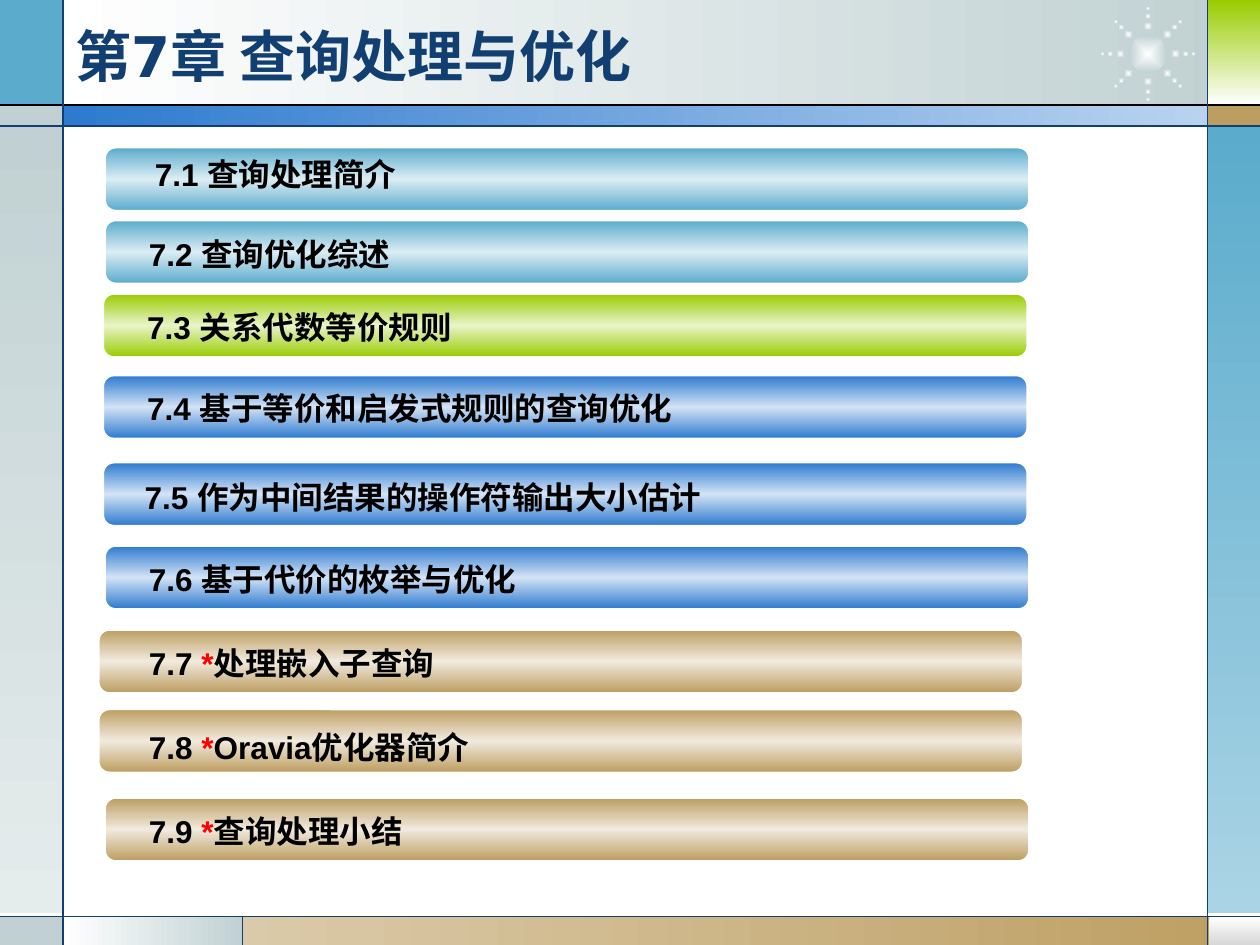
from math import cos, pi, sin

from lxml import etree
from pptx import Presentation
from pptx.dml.color import RGBColor
from pptx.enum.shapes import MSO_CONNECTOR, MSO_SHAPE
from pptx.enum.text import MSO_ANCHOR, MSO_AUTO_SIZE, PP_ALIGN
from pptx.oxml.ns import qn
from pptx.util import Pt

RECT, ROUND, OVAL = MSO_SHAPE.RECTANGLE, MSO_SHAPE.ROUNDED_RECTANGLE, MSO_SHAPE.OVAL
LINE = MSO_CONNECTOR.STRAIGHT
LEFT, MID, TOP = PP_ALIGN.LEFT, MSO_ANCHOR.MIDDLE, MSO_ANCHOR.TOP
NONE, GROW = MSO_AUTO_SIZE.NONE, MSO_AUTO_SIZE.SHAPE_TO_FIT_TEXT

TITLE = "第7章 查询处理与优化"

# text, colour, bar left, bar top, text left, text top
ROWS = [
    ("7.1 查询处理简介", "teal", 60, 84.4, 81.4, 85),
    ("7.2 查询优化综述", "teal", 60, 126, 78, 130.5),
    ("7.3 关系代数等价规则", "green", 59, 168, 77, 172.2),
    ("7.4 基于等价和启发式规则的查询优化", "blue", 59, 214.6, 77, 218.8),
    ("7.5 作为中间结果的操作符输出大小估计", "blue", 59, 264.4, 75.6, 269.4),
    ("7.6 基于代价的枚举与优化", "blue", 60, 312, 78, 316.2),
    ("7.7 *处理嵌入子查询", "tan", 56.4, 360, 78, 364.4),
    ("7.8 *Oravia优化器简介", "tan", 56.4, 405.4, 78, 412.6),
    ("7.9 *查询处理小结", "tan", 60, 456, 78, 460.2),
]

THEME = {
    "teal": "5AABCC", "green": "99CC00", "blue": "2D7ACF", "tan": "BD9E61",
    "gray": "C1D1D3", "white": "FFFFFF", "navy": "113F71", "black": "000000",
    "red": "FF0000", "mist": "E5ECEC", "sand": "DBCAA9", "silver": "D8D8D8",
    "sky": "AAD4E5", "pale": "B9D3EF",
    "head": {"size": Pt(32), "name": "DejaVu Sans", "bold": True},
    "body": {"size": Pt(18), "name": "Arial", "bold": True},
}
GLOW = {"teal": "DCEDF4", "green": "E9F4C9", "blue": "D3E3F5", "tan": "F1EADE"}

W, H = 720, 540
X1, X2, X3 = 36, 138.4, 690
Y1, Y2, Y3 = 60, 72, 523.6

# left, top, right, bottom, colours, angle
PANELS = [
    (X1, 0, 703.4, Y1, ("white", "gray"), 0),
    (0, 0, X1, Y1, ("teal",), 0),
    (0, Y1, X1, Y2, ("gray",), 0),
    (0, Y2, X1, 522, ("gray", "mist"), 90),
    (0, Y3, X1, H, ("gray",), 0),
    (X1, Y3, X2, H, ("white", "gray"), 0),
    (X2, Y3, W, H, ("sand", "tan"), 0),
    (691, Y3, W, H, ("white", "silver"), 90),
    (X3, Y2, W, 522, ("teal", "sky"), 90),
    (X3, Y1, W, Y2, ("tan",), 0),
    (X3, 0, W, Y1, ("green", "white"), 90),
    (X1, Y1, X3, Y2, ("blue", "pale"), 0),
]
RULES = [
    (0, Y1, W, Y1, "black"), (0, Y2, W, Y2, "navy"), (0, Y3, W, Y3, "navy"),
    (X1, 0, X1, H, "navy"), (X3, 0, X3, H, "navy"), (X2, Y3, X2, H, "navy"),
]
STAR = (656, 30.8, 21.6)
DOTS = [(15.8, 5), (21.6, 3.5), (26, 2.5)]
ARMS = 8


def tint(name):
    return RGBColor.from_string(THEME[name])


def style(item, form):
    for key, val in form.items():
        setattr(item, key, val)


def blend(shape, hues, angle):
    shape.fill.gradient()
    grad = shape.element.spPr.find(qn("a:gradFill"))
    for kid in list(grad):
        grad.remove(kid)
    stops = etree.SubElement(grad, qn("a:gsLst"))
    for i, hue in enumerate(hues):
        pos = str(100000 * i // (len(hues) - 1))
        stop = etree.SubElement(stops, qn("a:gs"), pos=pos)
        etree.SubElement(stop, qn("a:srgbClr"), val=hue)
    if angle is None:
        way = etree.SubElement(grad, qn("a:path"), path="rect")
        sides = dict.fromkeys("ltrb", "50000")
        etree.SubElement(way, qn("a:fillToRect"), sides)
    else:
        etree.SubElement(grad, qn("a:lin"), ang=str(angle * 60000), scaled="0")


def block(kind, box, hues, angle):
    shape = shapes.add_shape(kind, *map(Pt, box))
    shape.shadow.inherit = False
    shape.line.fill.background()
    if len(hues) == 1:
        shape.fill.solid()
        shape.fill.fore_color.rgb = RGBColor.from_string(hues[0])
    else:
        blend(shape, hues, angle)
    return shape


def dot(x, y, size):
    box = (x - size / 2, y - size / 2, size, size)
    block(OVAL, box, (THEME["white"], THEME["gray"]), None)


def rule(x, y, right, foot, hue):
    line = shapes.add_connector(LINE, *map(Pt, (x, y, right, foot)))
    line.line.width = Pt(0.75)
    line.line.color.rgb = tint(hue)
    etree.SubElement(line.element.spPr, qn("a:effectLst"))


def write(para, text, form, hue):
    run = para.add_run()
    run.text = text
    style(run.font, form)
    run.font.color.rgb = tint(hue)


def bar(hue, x, y):
    edge = THEME[hue]
    shape = block(ROUND, (x, y, 528, 36), (edge, GLOW[hue], edge), 90)
    shape.adjustments[0] = 0.17
    shape.line.width = Pt(1)
    shape.line.color.rgb = tint("white")


def label(text, x, y):
    frame = shapes.add_textbox(Pt(x), Pt(y), Pt(417), Pt(29)).text_frame
    style(frame, {"word_wrap": True, "auto_size": GROW, "vertical_anchor": TOP})
    para = frame.paragraphs[0]
    lead, star, rest = text.partition("*")
    for part, hue in ((lead, "black"), (star, "red"), (rest, "black")):
        if part:
            write(para, part, THEME["body"], hue)


deck = Presentation()
style(deck, {"slide_width": Pt(W), "slide_height": Pt(H)})
slide = deck.slides.add_slide(deck.slide_layouts[5])
shapes = slide.shapes

for x, y, right, foot, hues, angle in PANELS:
    block(RECT, (x, y, right - x, foot - y), [THEME[h] for h in hues], angle)

cx, cy, core = STAR
dot(cx, cy, core)
for arm in range(ARMS):
    turn = 2 * pi * arm / ARMS
    for reach, size in DOTS:
        dot(cx + reach * cos(turn), cy + reach * sin(turn), size)

for ends in RULES:
    rule(*ends)

title = shapes.title
style(title, {"left": Pt(X1), "top": Pt(9.4), "width": Pt(654), "height": Pt(44.6)})
style(title.text_frame, {"vertical_anchor": MID, "word_wrap": True, "auto_size": NONE})
head = title.text_frame.paragraphs[0]
head.alignment = LEFT
write(head, TITLE, THEME["head"], "navy")
title.element.getparent().append(title.element)

for text, hue, x, y, tx, ty in ROWS:
    bar(hue, x, y)
    label(text, tx, ty)

deck.save("out.pptx")
